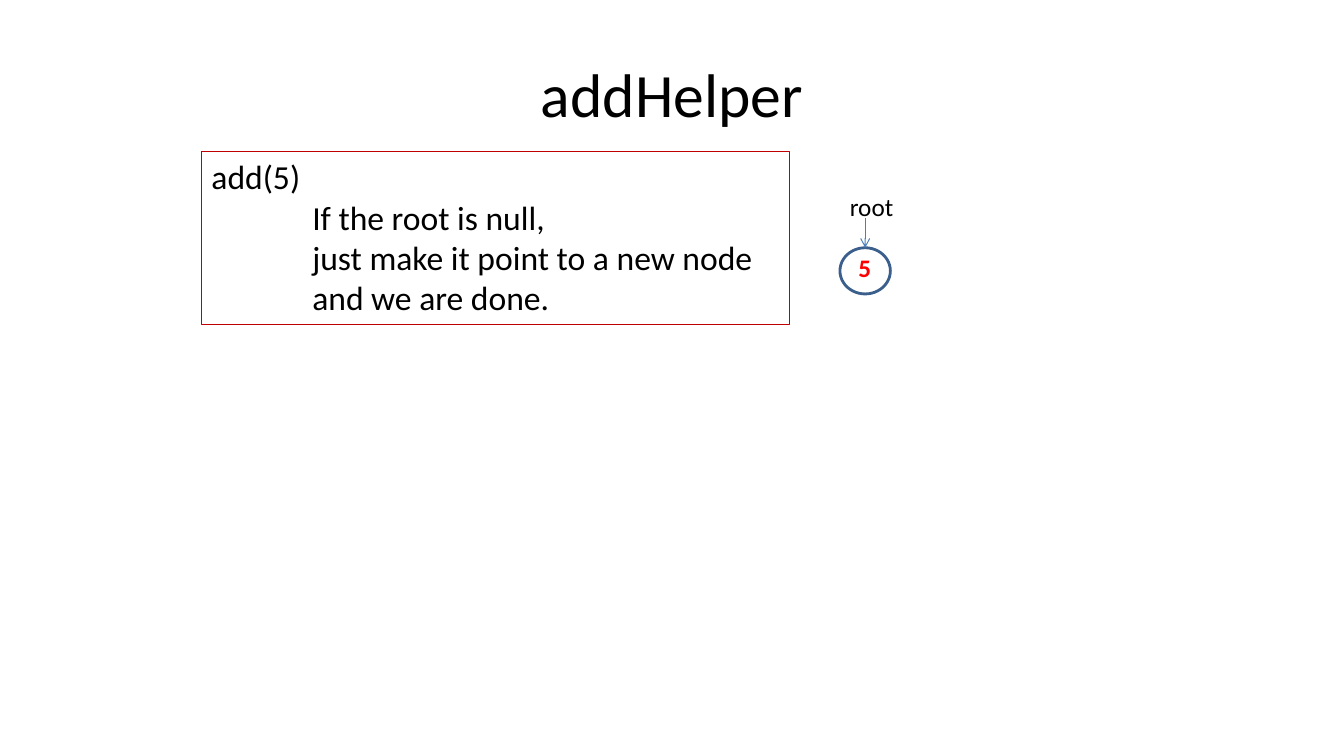
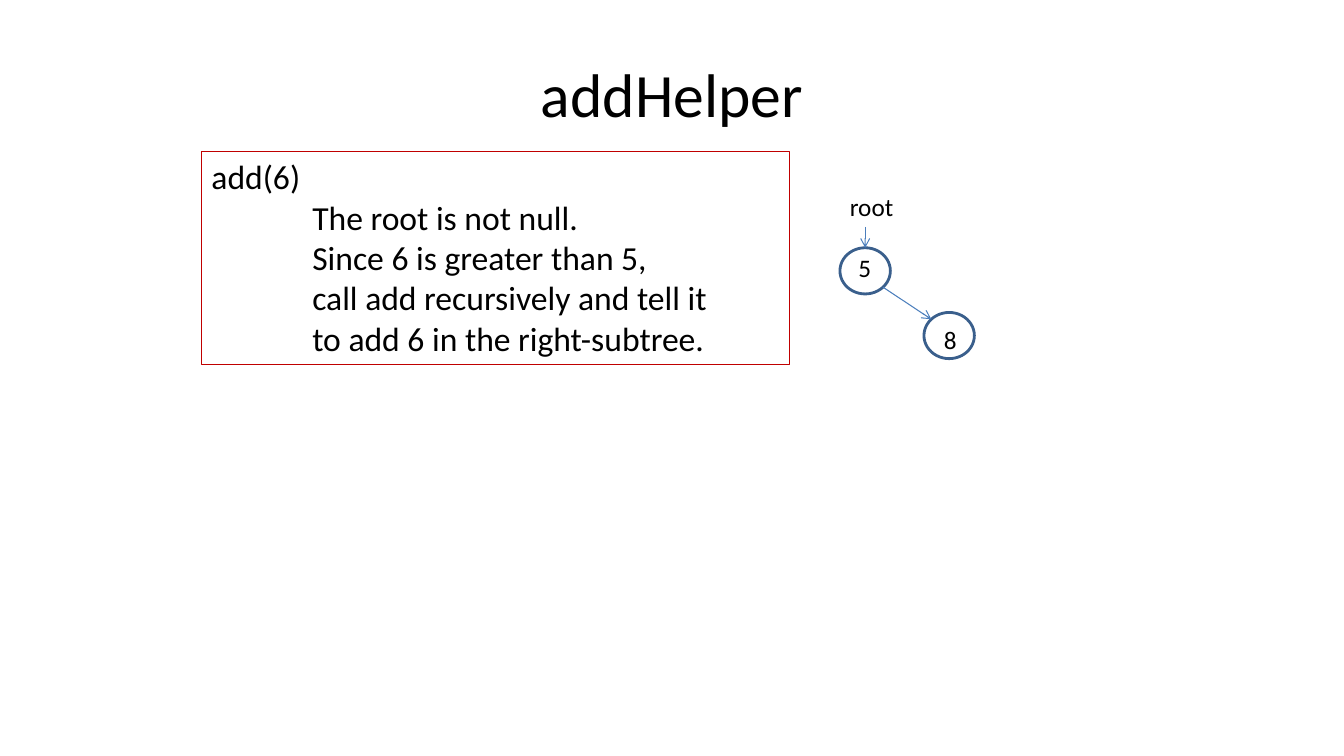
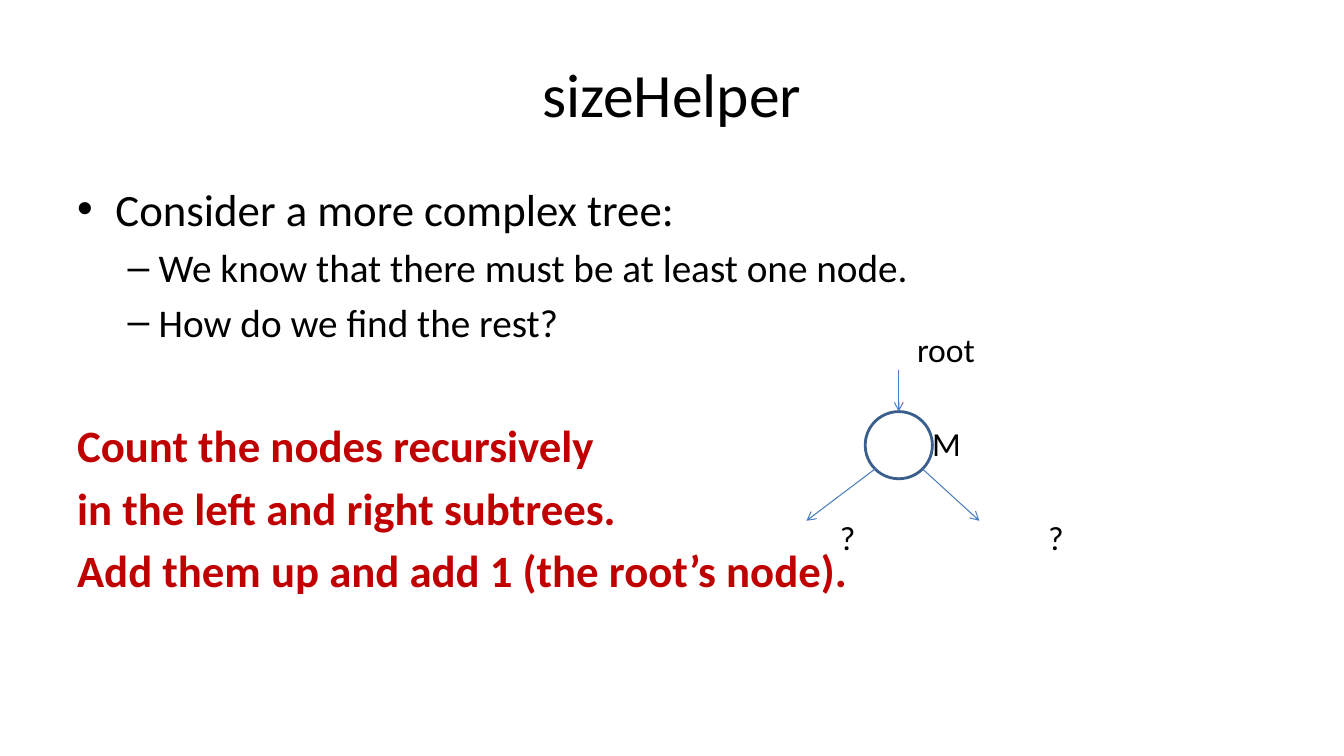
"""Build three slides on recursive helper methods for binary trees."""
from dataclasses import dataclass
from typing import NamedTuple

from lxml.etree import SubElement
from pptx import Presentation
from pptx.dml.color import RGBColor
from pptx.enum.shapes import MSO_CONNECTOR, MSO_SHAPE
from pptx.enum.text import MSO_ANCHOR, PP_ALIGN
from pptx.oxml.ns import qn
from pptx.slide import Slide
from pptx.util import Emu, Inches, Pt

COLS, ROWS = 160, 90
WIDE, HIGH = Inches(13.333), Inches(7.5)
BLACK, RED, DARK = "000000", "FF0000", "C00000"
RING, EDGE = "3A5F8C", "4B7EBC"
DIAG = 0.5 ** 0.5


class Area(NamedTuple):
    """Columns and rows of the grid."""
    col: float
    row: float
    wide: float
    high: float


class Spot(NamedTuple):
    """A point on the grid."""
    col: float
    row: float


class Line(NamedTuple):
    """One paragraph and its format."""
    text: str
    size: float = 24
    color: str = BLACK
    bold: bool = False
    left: float = 0
    hang: float = 0
    mark: str = ""
    above: float = 0


class Label(NamedTuple):
    """A short text at a grid point."""
    at: Spot
    line: Line


@dataclass(frozen=True)
class Node:
    """An ellipse of the tree."""
    area: Area

    def port(self, across: float, down: float) -> Spot:
        """Return a point at shares of the radii from the centre."""
        col, row, wide, high = self.area
        return Spot(col + wide * (1 + across) / 2, row + high * (1 + down) / 2)


class Arrow(NamedTuple):
    """A line with an arrowhead at its end."""
    start: Spot
    end: Spot


class Tree(NamedTuple):
    """Nodes, arrows and labels of one drawing."""
    nodes: list[Node]
    arrows: list[Arrow]
    labels: list[Label]


TITLE = Area(8, 3.6, 144, 15)
BODY = Area(8, 21, 144, 59.4)


def paint(code: str) -> RGBColor:
    """Turn a hex string into a colour."""
    return RGBColor.from_string(code)


def across(cols: float) -> Emu:
    """Convert columns to a length."""
    return Emu(round(WIDE * cols / COLS))


def down(rows: float) -> Emu:
    """Convert rows to a length."""
    return Emu(round(HIGH * rows / ROWS))


def place(area: Area) -> tuple[Emu, Emu, Emu, Emu]:
    """Convert a grid area to lengths."""
    return across(area.col), down(area.row), across(area.wide), down(area.high)


def write(slide: Slide, area: Area, lines: list[Line], border: str = "",
          anchor: MSO_ANCHOR = MSO_ANCHOR.TOP,
          align: PP_ALIGN = PP_ALIGN.LEFT) -> None:
    """Add a text box with formatted paragraphs."""
    box = slide.shapes.add_textbox(*place(area))
    if border:
        box.line.color.rgb = paint(border)
        box.line.width = Pt(0.75)
    frame = box.text_frame
    frame.word_wrap = True
    frame.vertical_anchor = anchor
    for index, line in enumerate(lines):
        para = frame.paragraphs[0] if index == 0 else frame.add_paragraph()
        para.alignment = align
        para.space_before = Pt(line.above)
        props = para._p.get_or_add_pPr()
        props.set("marL", str(Inches(line.left)))
        props.set("indent", str(Inches(line.hang)))
        if line.mark:
            SubElement(props, qn("a:buFont"), typeface="Arial")
            SubElement(props, qn("a:buChar"), char=line.mark)
        run = para.add_run()
        run.text = line.text
        style = {"name": "Calibri", "size": Pt(line.size), "bold": line.bold}
        for key, value in style.items():
            setattr(run.font, key, value)
        run.font.color.rgb = paint(line.color)


def draw(slide: Slide, tree: Tree) -> None:
    """Draw the nodes, arrows and labels of a tree."""
    for node in tree.nodes:
        ring = slide.shapes.add_shape(MSO_SHAPE.OVAL, *place(node.area))
        ring.shadow.inherit = False
        ring.fill.background()
        ring.line.color.rgb = paint(RING)
        ring.line.width = Pt(2)
    for start, end in tree.arrows:
        link = slide.shapes.add_connector(
            MSO_CONNECTOR.STRAIGHT, across(start.col), down(start.row),
            across(end.col), down(end.row))
        link.line.color.rgb = paint(EDGE)
        link.line.width = Pt(0.75)
        SubElement(link.line._get_or_add_ln(), qn("a:tailEnd"), type="arrow")
        SubElement(link._element.spPr, qn("a:effectLst"))
    for spot, line in tree.labels:
        write(slide, Area(*spot, 17, 4.8), [line])


def start(deck: Presentation, title: str) -> Slide:
    """Add a blank slide with a title."""
    slide = deck.slides.add_slide(deck.slide_layouts[6])
    write(slide, TITLE, [Line(title, 44)], anchor=MSO_ANCHOR.MIDDLE,
          align=PP_ALIGN.CENTER)
    return slide


def steps(deck: Presentation, call: str, notes: list[str], tree: Tree) -> None:
    """Add a slide that explains one call beside its tree."""
    slide = start(deck, "addHelper")
    lines = [Line(call), *(Line(note, left=1) for note in notes)]
    write(slide, Area(24, 18, 70, 1.2 + 4.85 * len(lines)), lines, DARK)
    draw(slide, tree)


def main() -> None:
    """Build and save the deck."""
    deck = Presentation()
    deck.slide_width, deck.slide_height = WIDE, HIGH

    top = Node(Area(100, 29.5, 6, 5.5))
    child = Node(Area(110, 37.2, 6, 5.5))
    root = Label(Spot(100, 22.2), Line("root", 18))
    five = Spot(101, 29.5)

    steps(deck, "add(5)",
          ["If the root is null,", "just make it point to a new node",
           "and we are done."],
          Tree([top], [Arrow(Spot(103, 26), top.port(0, -1))],
               [root, Label(five, Line("5", 18, RED, True))]))

    steps(deck, "add(6)",
          ["The root is not null.", "Since 6 is greater than 5,",
           "call add recursively and tell it",
           "to add 6 in the right-subtree."],
          Tree([top, child],
               [Arrow(Spot(103, 27), top.port(0, -1)),
                Arrow(top.port(DIAG, DIAG), child.port(-DIAG, -DIAG))],
               [root, Label(five, Line("5", 18)),
                Label(Spot(111.2, 38), Line("8", 18))]))

    slide = start(deck, "sizeHelper")
    points = ["We know that there must be at least one node.",
              "How do we find the rest?"]
    claims = ["Count the nodes recursively", "in the left and right subtrees.",
              "Add them up and add 1 (the root’s node)."]
    write(slide, BODY, [
        Line("Consider a more complex tree:", 32, left=0.38, hang=-0.38,
             mark="•"),
        *(Line(point, 28, left=0.81, hang=-0.31, mark="–", above=5.6)
          for point in points),
        *(Line(claim, 32, DARK, True, above=6.4 if index else 51.8)
          for index, claim in enumerate(claims))])
    node = Node(Area(103, 49, 8, 8))
    tags = [("root", 108, 0), ("M", 109.8, 1), ("?", 98.8, 2), ("?", 123.6, 2)]
    draw(slide, Tree(
        [node],
        [Arrow(Spot(107, 44), node.port(0, -1)),
         Arrow(node.port(-DIAG, DIAG), Spot(96, 62)),
         Arrow(node.port(DIAG, DIAG), Spot(116.6, 62))],
        [Label(Spot(col, 38.6 + 11.2 * level), Line(text))
         for text, col, level in tags]))

    deck.save("out.pptx")


if __name__ == "__main__":
    main()
